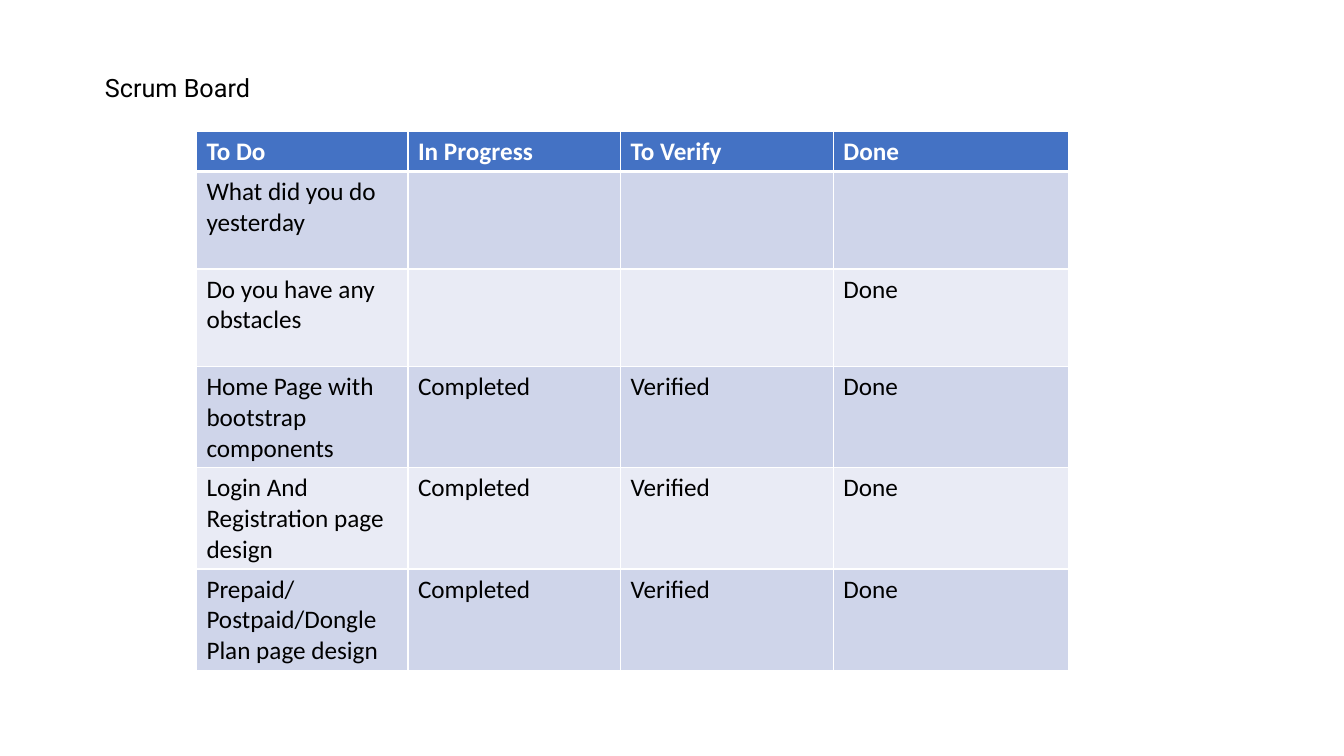
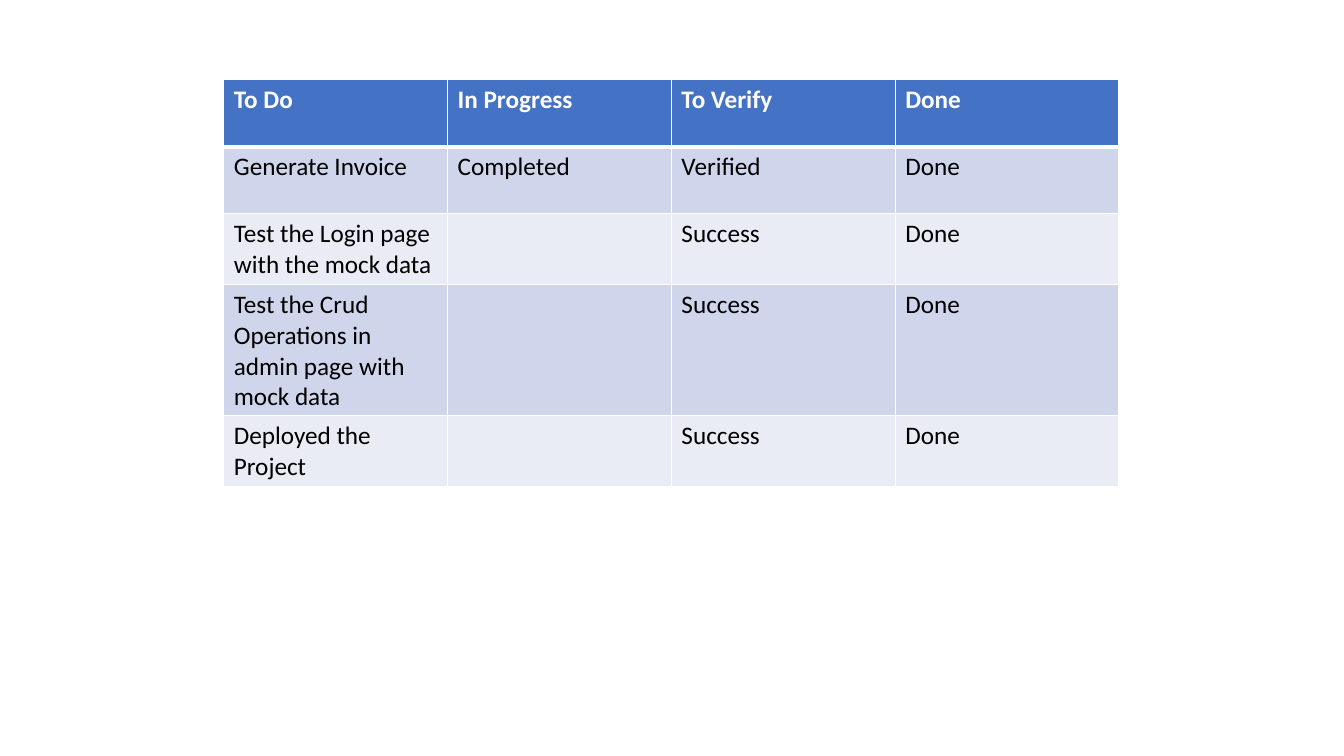
from lxml.etree import SubElement
from pptx import Presentation
from pptx.dml.color import RGBColor
from pptx.enum.text import MSO_ANCHOR, MSO_AUTO_SIZE, PP_ALIGN
from pptx.oxml.ns import qn
from pptx.util import Cm, Pt

COLORS = {
    "text": "000000",
    "header": "4472C4",
    "header_text": "FFFFFF",
    "band_dark": "CFD5EA",
    "band_light": "E9EBF5",
    "border": "FFFFFF",
}
TITLE_FONT = "Roboto"
TABLE_FONT = "Calibri"
TEXT_SIZE = Pt(18)
TITLE_ONLY, BLANK = 5, 6

HEADINGS = ("To Do", "In Progress", "To Verify", "Done")
BUILD_TASKS = [
    ("What did you do yesterday", "", "", ""),
    ("Do you have any obstacles", "", "", "Done"),
    ("Home Page with bootstrap components", "Completed", "Verified", "Done"),
    ("Login And Registration page design", "Completed", "Verified", "Done"),
    ("Prepaid/Postpaid/Dongle Plan page design", "Completed", "Verified", "Done"),
]
RELEASE_TASKS = [
    ("Generate Invoice", "Completed", "Verified", "Done"),
    ("Test the Login page with the mock data", "", "Success", "Done"),
    ("Test the Crud Operations in admin page with mock data", "", "Success", "Done"),
    ("Deployed the Project", "", "Success", "Done"),
]


def format_font(font, name, color, bold=False):
    """Set the typeface, colour and weight at the common text size."""
    font.name = name
    font.size = TEXT_SIZE
    font.bold = bold
    font.color.rgb = RGBColor.from_string(COLORS[color])


def set_title(slide, text):
    """Place the slide title as a small left-aligned line."""
    title = slide.shapes.title
    title.left, title.top = Cm(2.39), Cm(1.7)
    title.width, title.height = Cm(25.68), Cm(1.02)
    frame = title.text_frame
    frame.text = text
    frame.word_wrap = True
    frame.auto_size = MSO_AUTO_SIZE.SHAPE_TO_FIT_TEXT
    frame.vertical_anchor = MSO_ANCHOR.TOP
    paragraph = frame.paragraphs[0]
    paragraph.alignment = PP_ALIGN.LEFT
    format_font(paragraph.font, TITLE_FONT, "text")


def set_borders(cell, top, bottom):
    """Draw the four cell borders; top and bottom are widths in points."""
    properties = cell._tc.get_or_add_tcPr()
    widths = {"a:lnL": 1, "a:lnR": 1, "a:lnT": top, "a:lnB": bottom}
    for index, (tag, width) in enumerate(widths.items()):
        line = SubElement(properties, qn(tag), w=str(Pt(width)))
        fill = SubElement(line, qn("a:solidFill"))
        SubElement(fill, qn("a:srgbClr"), val=COLORS["border"])
        properties.insert(index, line)  # borders come before the fill


def format_cell(cell, text, row_index):
    """Fill one cell with its text, band colour and borders."""
    is_header = row_index == 0
    if is_header:
        band = "header"
    else:
        band = "band_dark" if row_index % 2 else "band_light"
    cell.fill.solid()
    cell.fill.fore_color.rgb = RGBColor.from_string(COLORS[band])
    cell.text = text
    color = "header_text" if is_header else "text"
    format_font(cell.text_frame.paragraphs[0].font, TABLE_FONT, color, is_header)
    set_borders(cell, top=3 if row_index == 1 else 1, bottom=3 if is_header else 1)


def add_board(slide, left, top, column_widths, row_heights, tasks):
    """Add a scrum board table; all lengths are in centimetres."""
    rows = [HEADINGS, *tasks]
    table = slide.shapes.add_table(
        len(rows), len(HEADINGS), Cm(left), Cm(top),
        Cm(sum(column_widths)), Cm(sum(row_heights)),
    ).table
    for column, width in zip(table.columns, column_widths):
        column.width = Cm(width)
    for row_index, texts in enumerate(rows):
        table.rows[row_index].height = Cm(row_heights[row_index])
        for column_index, text in enumerate(texts):
            format_cell(table.cell(row_index, column_index), text, row_index)


def main():
    """Build the two scrum board slides."""
    presentation = Presentation()
    presentation.slide_width, presentation.slide_height = Cm(33.87), Cm(19.05)
    layouts = presentation.slide_layouts

    slide = presentation.slides.add_slide(layouts[TITLE_ONLY])
    set_title(slide, "Scrum Board")
    add_board(slide, 4.95, 3.3, [5.33, 5.36, 5.36, 5.94],
              [1.02] + [2.46] * 2 + [2.55] * 3, BUILD_TASKS)

    slide = presentation.slides.add_slide(layouts[BLANK])
    add_board(slide, 5.64, 2.01, [5.64] * 4, [1.69] * 5, RELEASE_TASKS)

    presentation.save("out.pptx")


main()
